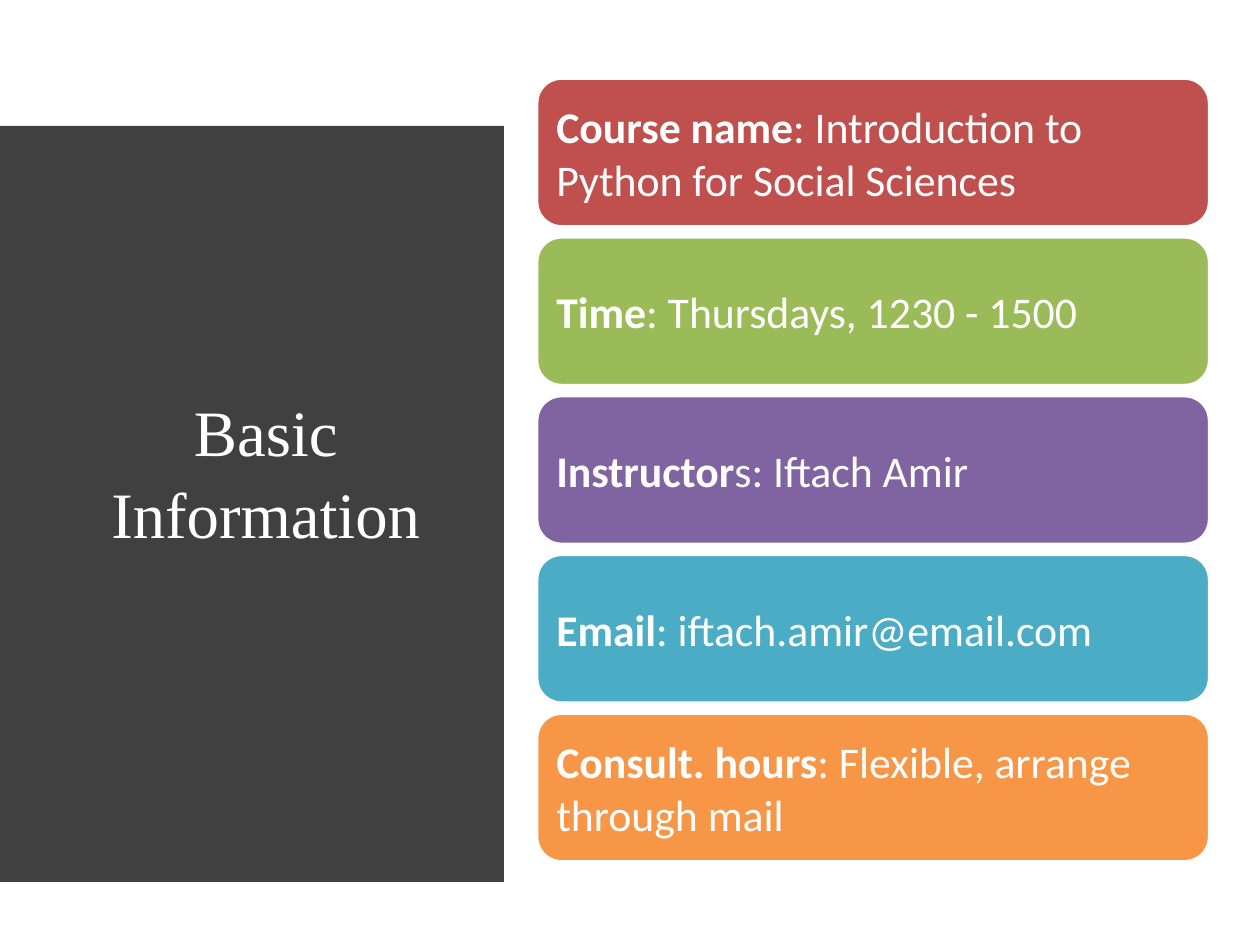
from dataclasses import dataclass

from pptx import Presentation
from pptx import util as u
from pptx.dml import color
from pptx.enum import shapes, text

WIDE, HIGH = 10, 7.5
HUES = {
    "white": "FFFFFF",
    "dark": "404040",
    "red": "C0504D",
    "green": "9BBB59",
    "purple": "8064A2",
    "teal": "4BACC6",
    "orange": "F79646",
}
LEFT, TOP, STEP = 0.426 * WIDE, 0.62, 1.26
CARD_W, CARD_H = 0.534 * WIDE, 1.18


@dataclass
class Card:
    label: str
    rest: str
    hue: str


CARDS = [
    Card("Course name", ": Introduction to Python for Social Sciences", "red"),
    Card("Time", ": Thursdays, 1230 - 1500", "green"),
    Card("Instructor", "s: Iftach Amir", "purple"),
    Card("Email", ": iftach.amir@email.com", "teal"),
    Card("Consult. hours", ": Flexible, arrange through mail", "orange"),
]


def rgb(hue: str) -> color.RGBColor:
    return color.RGBColor.from_string(HUES[hue])


def paint(shape, hue: str) -> None:
    shape.shadow.inherit = False
    shape.fill.solid()
    shape.fill.fore_color.rgb = rgb(hue)


def write(shape, *parts: tuple[str, bool], font: str, size: float,
          align=text.PP_ALIGN.LEFT, pitch: float = 1.0, pad: float = 0.1) -> None:
    frame = shape.text_frame
    frame.word_wrap = True
    frame.vertical_anchor = text.MSO_ANCHOR.MIDDLE
    frame.margin_left = frame.margin_right = u.Inches(0.1)
    frame.margin_top = frame.margin_bottom = u.Inches(pad)
    para = frame.paragraphs[0]
    para.alignment = align
    para.line_spacing = pitch
    for words, bold in parts:
        run = para.add_run()
        run.text = words
        run.font.name = font
        run.font.size = u.Pt(size)
        run.font.bold = bold
        run.font.color.rgb = rgb("white")


def draw_panel(slide) -> None:
    left, edge, top, base = 0.4, 3.81, 0.52, 6.96
    bulge, steps = 0.18, 40
    curve = []
    for i in range(steps + 1):
        t = i / steps
        curve.append((edge + bulge * 4 * t * (1 - t), top + (base - top) * t))
    pen = slide.shapes.build_freeform(left, top, scale=u.Inches(1))
    pen.add_line_segments(curve + [(left, base)], close=True)
    panel = pen.convert_to_shape()
    paint(panel, "dark")
    panel.line.fill.background()


def draw_title(slide) -> None:
    box = slide.shapes.add_textbox(*map(u.Inches, (0.71, 1.11, 2.8, 5.24)))
    write(box, ("Basic Information", False), font="Times New Roman", size=37,
          align=text.PP_ALIGN.CENTER, pitch=1.05, pad=0.05)


def draw_card(slide, card: Card, row: int) -> None:
    area = (LEFT, TOP + row * STEP, CARD_W, CARD_H)
    shape = slide.shapes.add_shape(
        shapes.MSO_SHAPE.ROUNDED_RECTANGLE, *map(u.Inches, area))
    paint(shape, card.hue)
    shape.line.color.rgb = rgb("white")
    shape.line.width = u.Pt(2)
    write(shape, (card.label, True), (card.rest, False), font="Calibri", size=25)


def main() -> None:
    deck = Presentation()
    deck.slide_width, deck.slide_height = u.Inches(WIDE), u.Inches(HIGH)
    slide = deck.slides.add_slide(deck.slide_layouts[6])
    draw_panel(slide)
    draw_title(slide)
    for row, card in enumerate(CARDS):
        draw_card(slide, card, row)
    deck.save("out.pptx")


if __name__ == "__main__":
    main()
